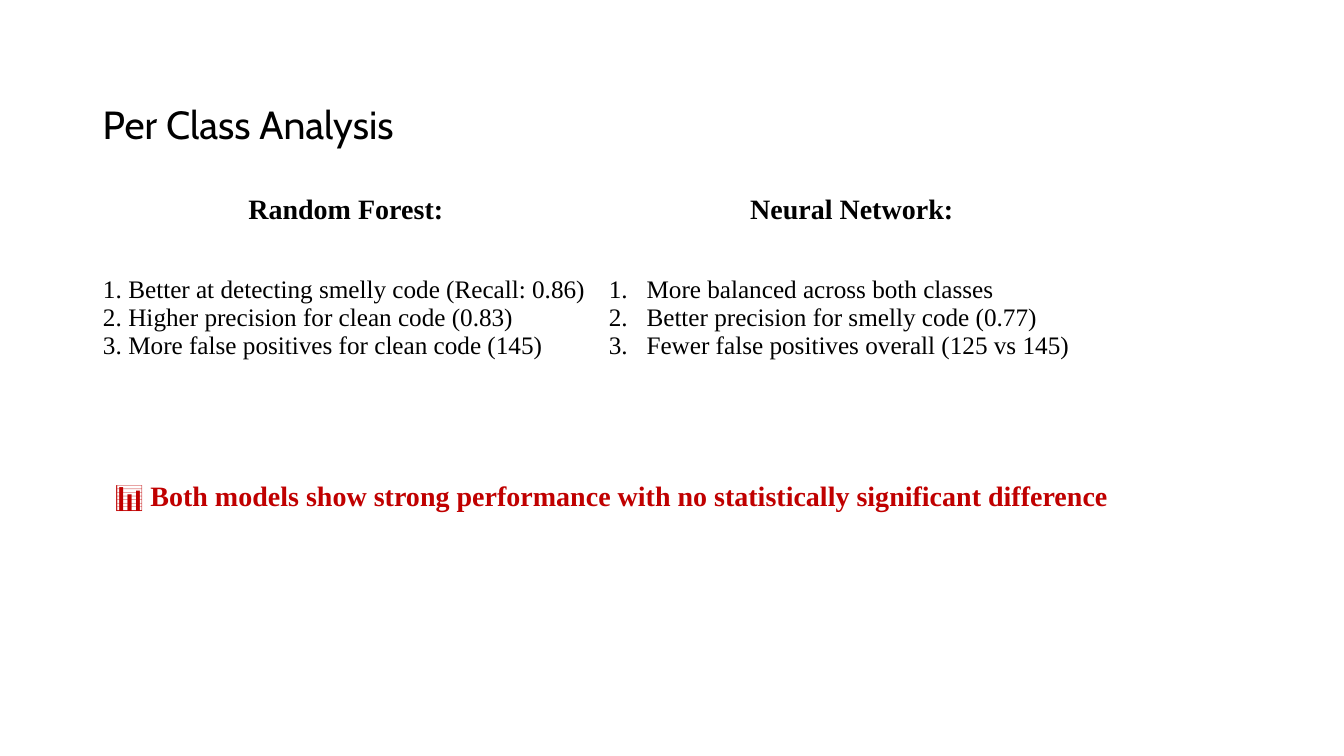
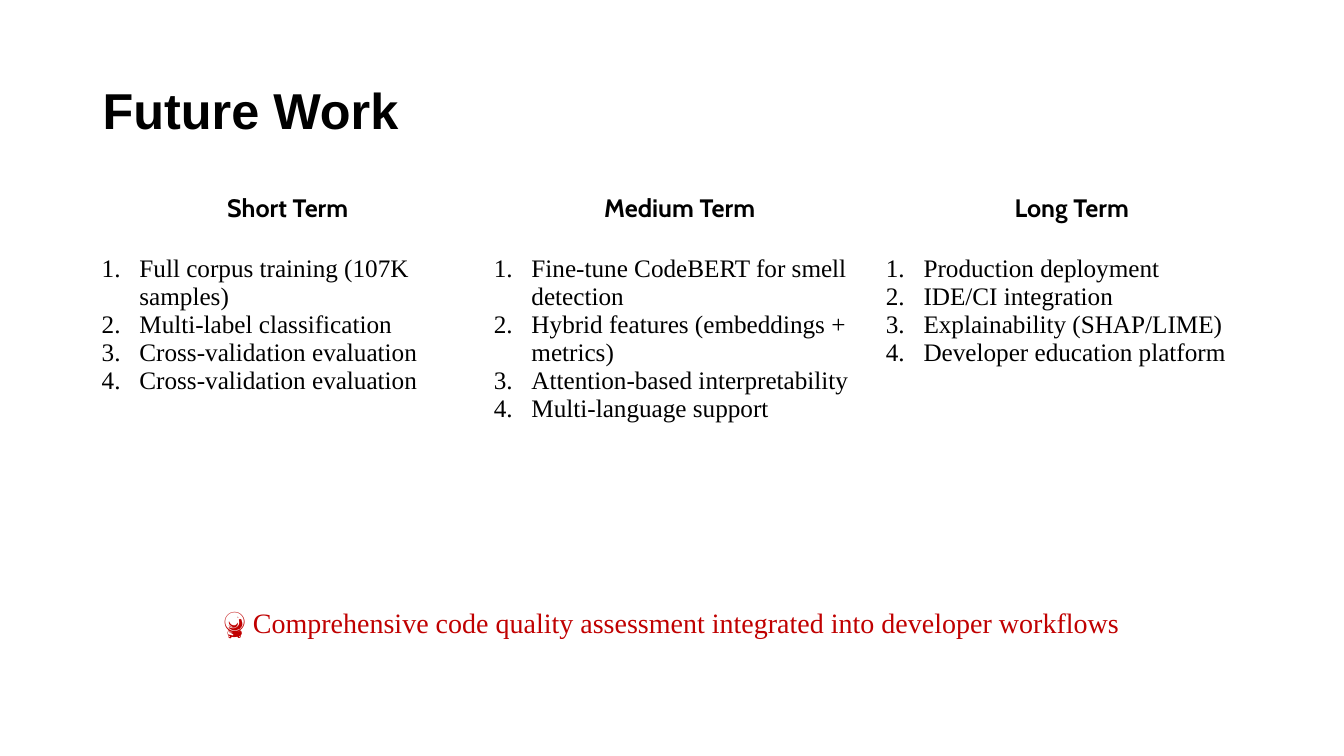
from dataclasses import dataclass

from lxml.etree import SubElement
from pptx import Presentation
from pptx.dml.color import RGBColor
from pptx.enum.text import MSO_ANCHOR, MSO_AUTO_SIZE, PP_ALIGN
from pptx.oxml.ns import qn
from pptx.util import Cm, Pt


@dataclass(frozen=True)
class Theme:
    ink: RGBColor = RGBColor(0x00, 0x00, 0x00)
    paper: RGBColor = RGBColor(0xFF, 0xFF, 0xFF)
    accent: RGBColor = RGBColor(0xC0, 0x00, 0x00)
    bold_face: str = "Arial"
    light_face: str = "Cabin"
    text_face: str = "Times New Roman"
    title_size: int = 36
    subtitle_size: int = 28
    large_size: int = 20
    list_size: int = 18
    left: float = 2.34
    title_width: float = 29.21
    title_height: float = 3.68
    title_spacing: float = 0.9
    takeaway_height: float = 1.12
    list_indent: float = 0.95
    tight_indent: float = 0.64


class Deck:
    """Holds the theme and the slide being built."""

    def __init__(self, theme):
        self.theme = theme
        self.presentation = Presentation()
        self.presentation.slide_width = Cm(33.87)
        self.presentation.slide_height = Cm(19.05)
        self.slide = None

    def new_slide(self):
        blank = self.presentation.slide_layouts[6]
        self.slide = self.presentation.slides.add_slide(blank)

    def style(self, paragraph, face, size, color=None, bold=False):
        font = paragraph.font
        font.name, font.size, font.bold = face, Pt(size), bold
        font.color.rgb = color or self.theme.ink

    def text_frame(self, left, top, width, height):
        box = self.slide.shapes.add_textbox(Cm(left), Cm(top), Cm(width), Cm(height))
        box.text_frame.word_wrap = True
        return box.text_frame

    def title(self, text, top, face, size, bold=False, anchor=MSO_ANCHOR.TOP):
        theme = self.theme
        frame = self.text_frame(theme.left, top, theme.title_width, theme.title_height)
        frame.vertical_anchor = anchor
        heading = frame.paragraphs[0]
        heading.text = text
        heading.line_spacing = theme.title_spacing
        self.style(heading, face, size, bold=bold)

    def takeaway(self, text, left, top, width, bold=False):
        theme = self.theme
        frame = self.text_frame(left, top, width, theme.takeaway_height)
        frame.auto_size = MSO_AUTO_SIZE.SHAPE_TO_FIT_TEXT
        message = frame.paragraphs[0]
        message.text = text
        message.alignment = PP_ALIGN.CENTER
        self.style(message, theme.text_face, theme.large_size, theme.accent, bold)

    def numbered_list(self, frame, items, indent):
        frame.text = "\n".join(items)
        for item in frame.paragraphs:
            properties = item._p.get_or_add_pPr()
            properties.set("marL", str(Cm(indent)))
            properties.set("indent", str(-Cm(indent)))
            SubElement(properties, qn("a:buFont"), typeface="+mj-lt")
            SubElement(properties, qn("a:buAutoNum"), type="arabicPeriod")
            self.style(item, self.theme.text_face, self.theme.list_size)

    def list_table(self, columns, left, top, column_width, row_heights, face, size):
        """Draws one column per (heading, items, indent)."""
        table = self.slide.shapes.add_table(
            2, len(columns), Cm(left), Cm(top),
            Cm(column_width * len(columns)), Cm(sum(row_heights))).table
        for row, height in zip(table.rows, row_heights):
            row.height = Cm(height)
        for index, (heading, items, indent) in enumerate(columns):
            table.columns[index].width = Cm(column_width)
            head, body = table.cell(0, index), table.cell(1, index)
            for cell in (head, body):
                cell.fill.solid()
                cell.fill.fore_color.rgb = self.theme.paper
            head.text = heading
            label = head.text_frame.paragraphs[0]
            label.alignment = PP_ALIGN.CENTER
            self.style(label, face, size, bold=True)
            self.numbered_list(body.text_frame, items, indent)


def build_class_analysis(deck):
    theme = deck.theme
    deck.new_slide()
    deck.title("Per Class Analysis", 2.54, theme.light_face, theme.subtitle_size)

    # Model comparison
    models = [
        ("Random Forest:", [
            "Better at detecting smelly code (Recall: 0.86)",
            "Higher precision for clean code (0.83)",
            "More false positives for clean code (145)",
        ], theme.tight_indent),
        ("Neural Network:", [
            "More balanced across both classes",
            "Better precision for smelly code (0.77)",
            "Fewer false positives overall (125 vs 145)",
        ], theme.list_indent),
    ]
    deck.list_table(models, theme.left, 4.78, 12.75, (2.06, 4.67),
                    theme.text_face, theme.large_size)

    # Conclusion
    deck.takeaway("📊 Both models show strong performance with no "
                  "statistically significant difference",
                  theme.left, 11.94, 26.16, bold=True)


def build_future_work(deck):
    theme = deck.theme
    deck.new_slide()
    deck.title("Future Work", 1.02, theme.bold_face, theme.title_size,
               bold=True, anchor=MSO_ANCHOR.MIDDLE)

    # Roadmap by horizon
    horizons = [
        ("Short Term", [
            "Full corpus training (107K samples)",
            "Multi-label classification",
            "Cross-validation evaluation",
            "Cross-validation evaluation",
        ], theme.list_indent),
        ("Medium Term", [
            "Fine-tune CodeBERT for smell detection",
            "Hybrid features (embeddings + metrics)",
            "Attention-based interpretability",
            "Multi-language support",
        ], theme.list_indent),
        ("Long Term", [
            "Production deployment",
            "IDE/CI integration",
            "Explainability (SHAP/LIME)",
            "Developer education platform",
        ], theme.list_indent),
    ]
    deck.list_table(horizons, 2.31, 4.75, 9.88, (1.55, 4.57),
                    theme.light_face, theme.list_size)

    # Vision
    deck.takeaway("🔮 Comprehensive code quality assessment integrated "
                  "into developer workflows", 2.72, 15.14, 28.42)


def main():
    deck = Deck(Theme())
    build_class_analysis(deck)
    build_future_work(deck)
    deck.presentation.save("out.pptx")


if __name__ == "__main__":
    main()
